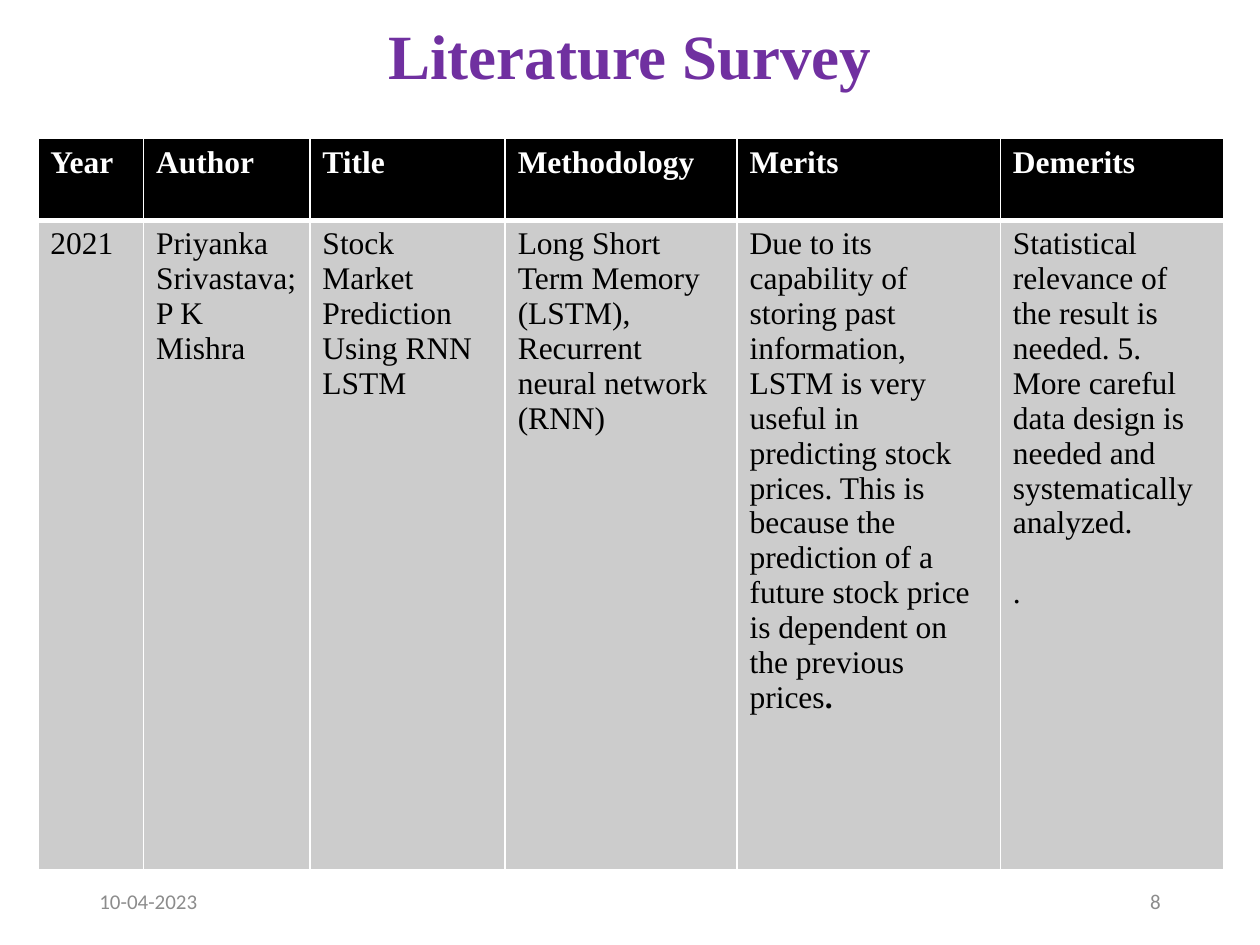
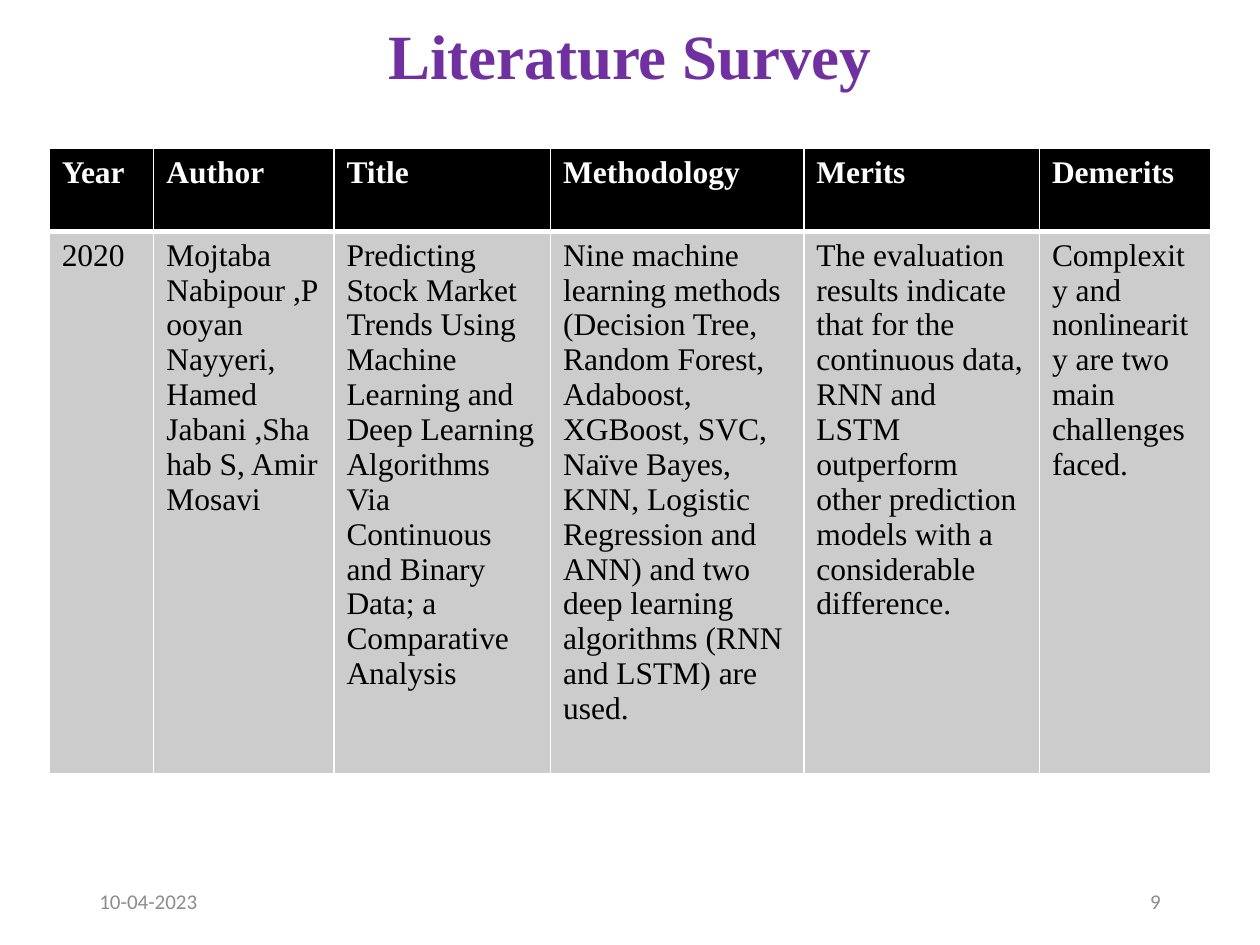
from dataclasses import dataclass

from lxml.etree import SubElement
from pptx import Presentation
from pptx.dml.color import RGBColor as Color
from pptx.enum.text import MSO_ANCHOR as Anchor, PP_ALIGN as Align
from pptx.oxml.ns import qn
from pptx.util import Inches, Pt


@dataclass(frozen=True)
class Theme:
    heading_font: str = "Times New Roman"
    footer_font: str = "Calibri"
    title_color: str = "7030A0"
    footer_color: str = "8C8C8C"
    header_fill: str = "000000"
    header_text: str = "FFFFFF"
    body_fill: str = "CCCCCC"
    body_text: str = "000000"
    border: str = "FFFFFF"
    title_size: int = 36
    table_size: int = 18
    footer_size: int = 12
    thin_border: int = 1
    thick_border: int = 3
    paragraph_gap: int = 20


THEME = Theme()
DATE = "10-04-2023"
HEADINGS = ["Year", "Author", "Title", "Methodology", "Merits", "Demerits"]

SURVEYS = [
    {
        "number": "8",
        "position": (0.3, 1.1),
        "columns": [0.84, 1.32, 1.55, 1.84, 2.09, 1.77],
        "rows": [0.65, 5.15],
        "entry": [
            [["2021"]],
            [["Priyanka Srivastava; P K Mishra"]],
            [["Stock Market Prediction Using RNN LSTM"]],
            [["Long Short Term Memory (LSTM), Recurrent neural network (RNN)"]],
            [["Due to its capability of storing past information, LSTM is very "
              "useful in predicting stock prices. This is because the prediction "
              "of a future stock price is dependent on the previous prices",
              (".", True)]],
            [["Statistical relevance of the result is needed. 5. More careful "
              "data design is needed and systematically analyzed."], ["."]],
        ],
    },
    {
        "number": "9",
        "position": (0.39, 1.18),
        "columns": [0.83, 1.43, 1.72, 2.01, 1.87, 1.36],
        "rows": [0.66, 4.3],
        "entry": [
            [["2020"]],
            [["Mojtaba Nabipour ,Pooyan Nayyeri, "
              " Hamed Jabani ,Shahab S, Amir Mosavi"]],
            [["Predicting Stock Market Trends Using Machine Learning and Deep "
              "Learning Algorithms Via Continuous and Binary Data; a "
              "Comparative Analysis"]],
            [["Nine machine learning methods (Decision Tree, Random Forest, "
              "Adaboost, XGBoost, SVC, Naïve Bayes, KNN, Logistic Regression "
              "and ANN) and two deep learning algorithms (RNN and LSTM) are "
              "used."]],
            [["The evaluation results indicate that for the continuous data, "
              "RNN and LSTM outperform other prediction models with a "
              "considerable difference."]],
            [["Complexity and nonlinearity are two main challenges faced."]],
        ],
    },
]


def add_run(paragraph, text, font, size, color, bold=False):
    run = paragraph.add_run()
    run.text = text
    run.font.name = font
    run.font.size = Pt(size)
    run.font.color.rgb = Color.from_string(color)
    run.font.bold = bold


def add_text_box(slide, box, align):
    frame = slide.shapes.add_textbox(*map(Inches, box)).text_frame
    frame.word_wrap = True
    frame.vertical_anchor = Anchor.MIDDLE
    paragraph = frame.paragraphs[0]
    paragraph.alignment = align
    return paragraph


def add_title(slide, text):
    paragraph = add_text_box(slide, (0.69, 0.18, 8.62, 0.58), Align.CENTER)
    paragraph.line_spacing = 0.9
    add_run(paragraph, text, THEME.heading_font, THEME.title_size,
            THEME.title_color, bold=True)


def add_footer(slide, number):
    for text, left, align in ((DATE, 0.69, Align.LEFT), (number, 7.06, Align.RIGHT)):
        paragraph = add_text_box(slide, (left, 6.95, 2.25, 0.4), align)
        add_run(paragraph, text, THEME.footer_font, THEME.footer_size,
                THEME.footer_color)


def set_borders(cell, top, bottom):
    properties = cell._tc.get_or_add_tcPr()
    widths = {"L": THEME.thin_border, "R": THEME.thin_border, "T": top, "B": bottom}
    for side, width in widths.items():
        line = SubElement(properties, qn(f"a:ln{side}"), w=str(Pt(width)))
        fill = SubElement(line, qn("a:solidFill"))
        SubElement(fill, qn("a:srgbClr"), val=THEME.border)


def fill_cell(cell, paragraphs, is_header):
    thin, thick = THEME.thin_border, THEME.thick_border
    set_borders(cell, *((thin, thick) if is_header else (thick, thin)))
    cell.fill.solid()
    cell.fill.fore_color.rgb = Color.from_string(
        THEME.header_fill if is_header else THEME.body_fill)
    color = THEME.header_text if is_header else THEME.body_text
    frame = cell.text_frame
    for index, runs in enumerate(paragraphs):
        paragraph = frame.add_paragraph() if index else frame.paragraphs[0]
        if index:
            paragraph.space_before = Pt(THEME.paragraph_gap)
        for run in runs:
            text, bold = run if isinstance(run, tuple) else (run, is_header)
            add_run(paragraph, text, THEME.heading_font, THEME.table_size, color, bold)


def add_survey_table(slide, position, columns, rows, entry):
    size = (sum(columns), sum(rows))
    table = slide.shapes.add_table(
        len(rows), len(columns), *map(Inches, position + size)).table
    table.horz_banding = False
    for column, width in zip(table.columns, columns):
        column.width = Inches(width)
    for row, height in zip(table.rows, rows):
        row.height = Inches(height)
    header = [[[heading]] for heading in HEADINGS]
    for row_index, contents in enumerate((header, entry)):
        for column_index, paragraphs in enumerate(contents):
            fill_cell(table.cell(row_index, column_index), paragraphs, row_index == 0)


def main():
    presentation = Presentation()
    presentation.slide_width = Inches(10)
    presentation.slide_height = Inches(7.5)
    for survey in SURVEYS:
        slide = presentation.slides.add_slide(presentation.slide_layouts[6])
        add_title(slide, "Literature Survey")
        add_footer(slide, survey["number"])
        add_survey_table(slide, survey["position"], survey["columns"],
                         survey["rows"], survey["entry"])
    presentation.save("out.pptx")


if __name__ == "__main__":
    main()
